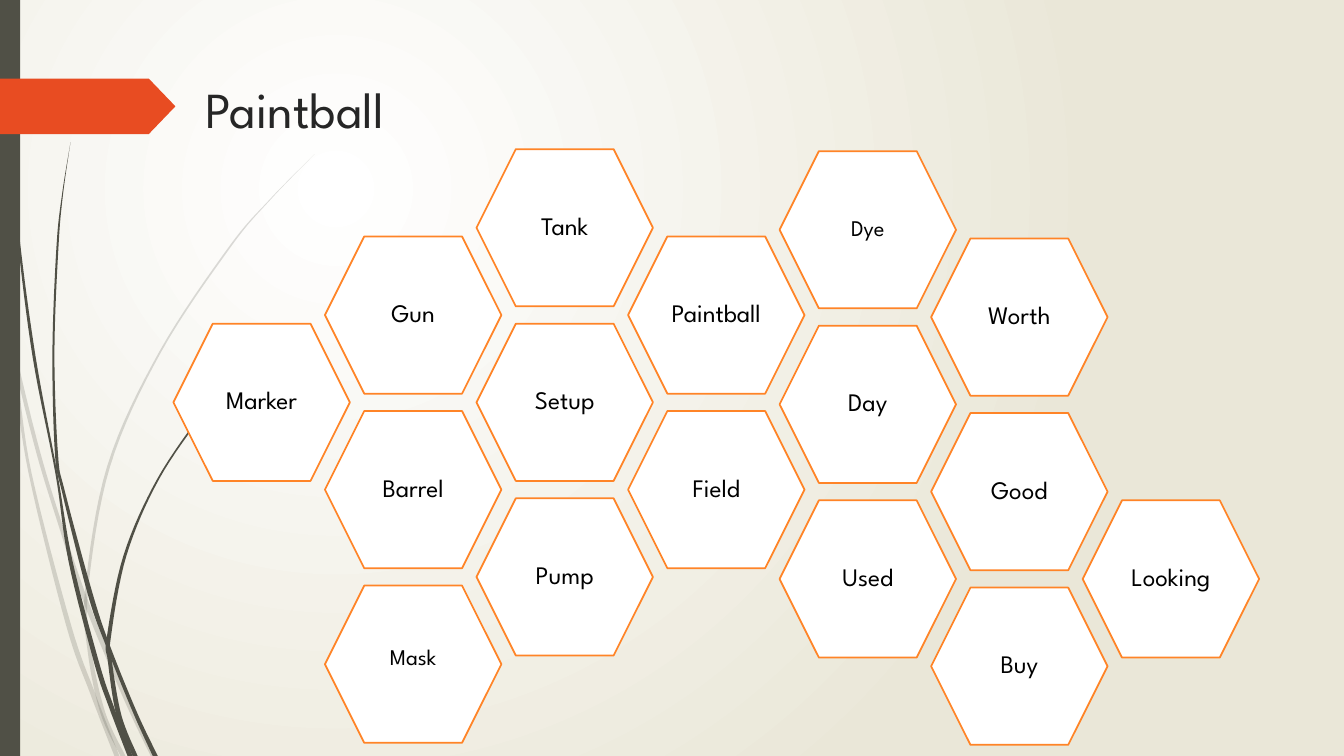
from pptx import Presentation
from pptx.dml.color import RGBColor
from pptx.enum.shapes import MSO_SHAPE
from pptx.enum.text import MSO_ANCHOR, PP_ALIGN
from pptx.oxml import parse_xml
from pptx.oxml.ns import nsdecls, qn
from pptx.util import Inches, Pt

COLORS = {
    "center": "FFFFFF", "edge": "EAE7D8", "grass": "505046", "arrow": "E84C22",
    "title": "262626", "cell": "FFFFFF", "border": "FF8427", "word": "000000",
}
FONT = "League Spartan"


def paint(shape, color, border=None):
    shape.shadow.inherit = False
    shape.fill.solid()
    shape.fill.fore_color.rgb = RGBColor.from_string(COLORS[color])
    if border:
        shape.line.color.rgb = RGBColor.from_string(COLORS[border])
        shape.line.width = Pt(1.25)
    else:
        shape.line.fill.background()


def write(shape, text, size, color, frame_format, alignment):
    frame = shape.text_frame
    for name, value in frame_format.items():
        setattr(frame, name, value)
    para = frame.paragraphs[0]
    para.alignment = alignment
    span = para.add_run()
    span.text = text
    for name, value in {"name": FONT, "size": Pt(size), "bold": False}.items():
        setattr(span.font, name, value)
    span.font.color.rgb = RGBColor.from_string(COLORS[color])


deck = Presentation()
deck.slide_width, deck.slide_height = Inches(13.33), Inches(7.5)
page = deck.slides.add_slide(deck.slide_layouts[5])

# Background: circular gradient centred in the upper left
background = page.background.fill
background.gradient()
for stop, position, color in zip(background.gradient_stops, (0, 1), ("center", "edge")):
    stop.position = position
    stop.color.rgb = RGBColor.from_string(COLORS[color])
gradient = page.element.find(".//" + qn("a:gradFill"))
gradient.replace(gradient.find(qn("a:lin")), parse_xml(
    f'<a:path {nsdecls("a")} path="circle">'
    '<a:fillToRect l="50000" t="50000" r="100000" b="100000"/></a:path>'))

# Grass blades: points along the middle as (x, y, width), and opacity in percent
blades = [
    (20, [(0.04, 3, 0.04), (0.16, 3.6, 0.04), (0.38, 4.49, 0.04), (0.6, 5.21, 0.04),
          (0.86, 5.99, 0.05), (1.25, 6.93, 0.05), (1.52, 7.5, 0.05)]),
    (20, [(0.11, 3.5, 0), (0.16, 3.76, 0.03), (0.3, 4.7, 0.03), (0.68, 6.2, 0.05),
          (0.92, 6.88, 0.05), (1.16, 7.5, 0.05)]),
    (20, [(3.12, 1.53, 0), (2.68, 1.98, 0.01), (2.28, 2.45, 0.02), (1.59, 3.49, 0.02),
          (1.08, 4.62, 0.03), (0.86, 5.85, 0.03), (0.89, 6.46, 0.04),
          (1.02, 7.07, 0.05), (1.22, 7.5, 0.05)]),
    (100, [(0.04, 0, 0.01), (0.07, 1.1, 0.01), (0.18, 2.33, 0.02), (0.34, 3.55, 0.03),
           (0.56, 4.7, 0.02), (0.7, 5.57, 0.04), (0.96, 6.58, 0.05),
           (1.1, 7, 0.05), (1.29, 7.5, 0.05)]),
    (100, [(0.7, 1.41, 0), (0.62, 1.93, 0.01), (0.57, 2.45, 0.02), (0.53, 3.49, 0.02),
           (0.56, 4.5, 0.03), (0.63, 4.88, 0.03), (0.9, 5.91, 0.05),
           (1.08, 6.43, 0.04), (1.34, 7.07, 0.04), (1.54, 7.5, 0.05)]),
    (100, [(2.6, 3.44, 0), (2.31, 3.73, 0.01), (2.04, 4.06, 0.02), (1.57, 4.75, 0.02),
           (1.24, 5.51, 0.03), (1.08, 6.32, 0.04), (1.09, 6.56, 0.04),
           (1.18, 7.1, 0.05), (1.34, 7.5, 0.05)]),
]
STEPS = 8
for opacity, points in blades:
    # Smooth each blade with a Catmull-Rom curve
    padded = [points[0], *points, points[-1]]
    curve = []
    for a, b, c, d in zip(padded, padded[1:], padded[2:], padded[3:]):
        for step in range(STEPS):
            t = step / STEPS
            curve.append([
                (2 * q + (r - p) * t + (2 * p - 5 * q + 4 * r - s) * t ** 2
                 + (3 * q - p - 3 * r + s) * t ** 3) / 2
                for p, q, r, s in zip(a, b, c, d)])
    curve.append(points[-1])
    left = [(Inches(x - width / 2), Inches(y)) for x, y, width in curve]
    right = [(Inches(x + width / 2), Inches(y)) for x, y, width in curve]
    outline = left + right[::-1]
    builder = page.shapes.build_freeform(*outline[0])
    builder.add_line_segments(outline[1:], close=True)
    blade = builder.convert_to_shape()
    paint(blade, "grass")
    if opacity < 100:
        fill_color = blade.element.spPr.find(".//" + qn("a:srgbClr"))
        fill_color.append(parse_xml(f'<a:alpha {nsdecls("a")} val="{opacity * 1000}"/>'))

# Side bar and arrow
bar = page.shapes.add_shape(MSO_SHAPE.RECTANGLE, 0, 0, Inches(0.2), deck.slide_height)
paint(bar, "grass")
arrow = page.shapes.add_shape(
    MSO_SHAPE.PENTAGON, 0, Inches(0.78), Inches(1.74), Inches(0.55))
arrow.adjustments[0] = 0.48
paint(arrow, "arrow")

# Title
title = page.shapes.title
for name, value in {"left": 1.94, "top": 0.72, "width": 9.75, "height": 1.4}.items():
    setattr(title, name, Inches(value))
write(title, "Paintball", 36, "title",
      {"vertical_anchor": MSO_ANCHOR.TOP, "word_wrap": True}, PP_ALIGN.LEFT)

# Honeycomb: words by column and half row
CELL_WIDTH, CELL_HEIGHT = 1.75, 1.56
COLUMN_STEP, HALF_ROW = 1.503, 0.866
honeycomb = [
    {2: "Marker"},
    {1: "Gun", 3: "Barrel", 5: "Mask"},
    {0: "Tank", 2: "Setup", 4: "Pump"},
    {1: "Paintball", 3: "Field"},
    {0: "Dye", 2: "Day", 4: "Used"},
    {1: "Worth", 3: "Good", 5: "Buy"},
    {4: "Looking"},
]
cell_format = {"vertical_anchor": MSO_ANCHOR.MIDDLE, "word_wrap": True,
               "margin_left": 0, "margin_right": 0, "margin_top": 0}
for column, words in enumerate(honeycomb):
    top = 1.5 if column > 3 else 1.48
    for row, word in words.items():
        cell = page.shapes.add_shape(
            MSO_SHAPE.HEXAGON,
            Inches(1.72 + column * COLUMN_STEP), Inches(top + row * HALF_ROW),
            Inches(CELL_WIDTH), Inches(CELL_HEIGHT))
        cell.adjustments[0] = 0.25
        paint(cell, "cell", "border")
        size = 16 if word in ("Dye", "Mask") else 18
        lift = Inches(0.15 if word == "Mask" else 0.05)
        write(cell, word, size, "word", {**cell_format, "margin_bottom": lift},
              PP_ALIGN.CENTER)

deck.save("out.pptx")
